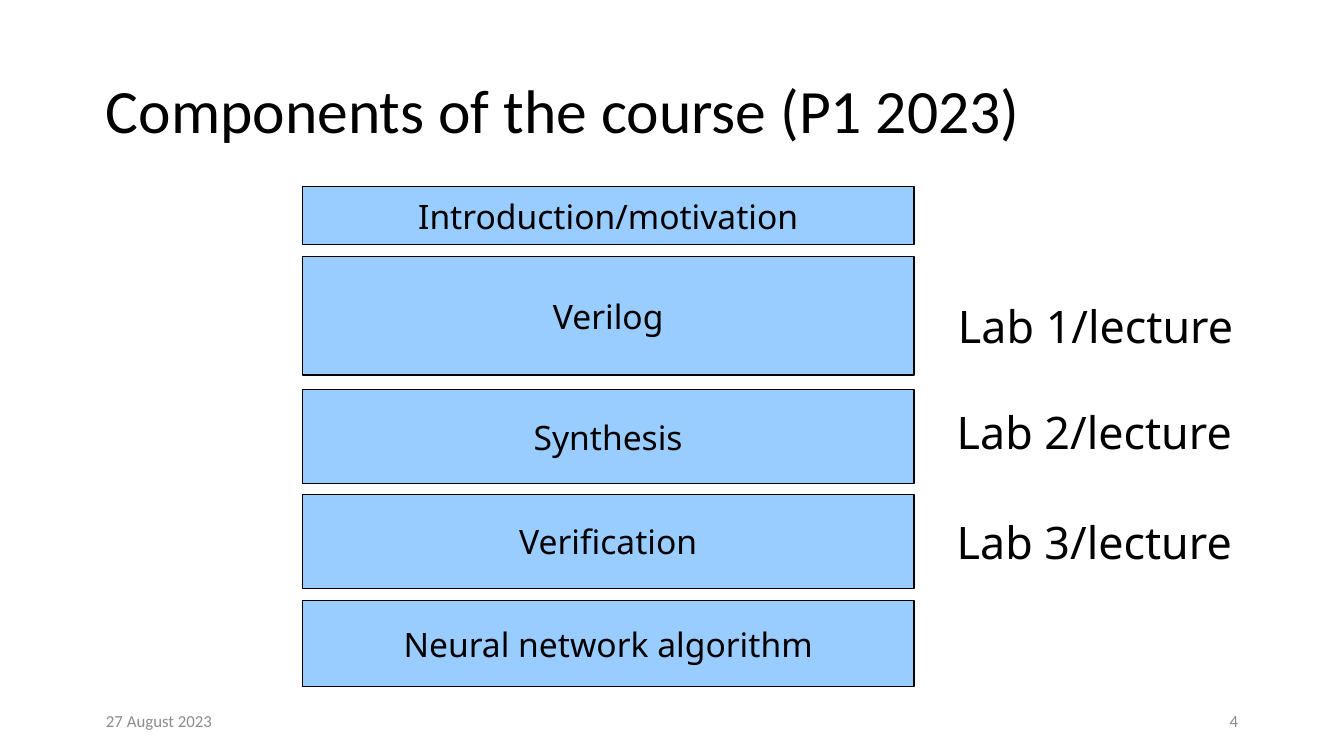
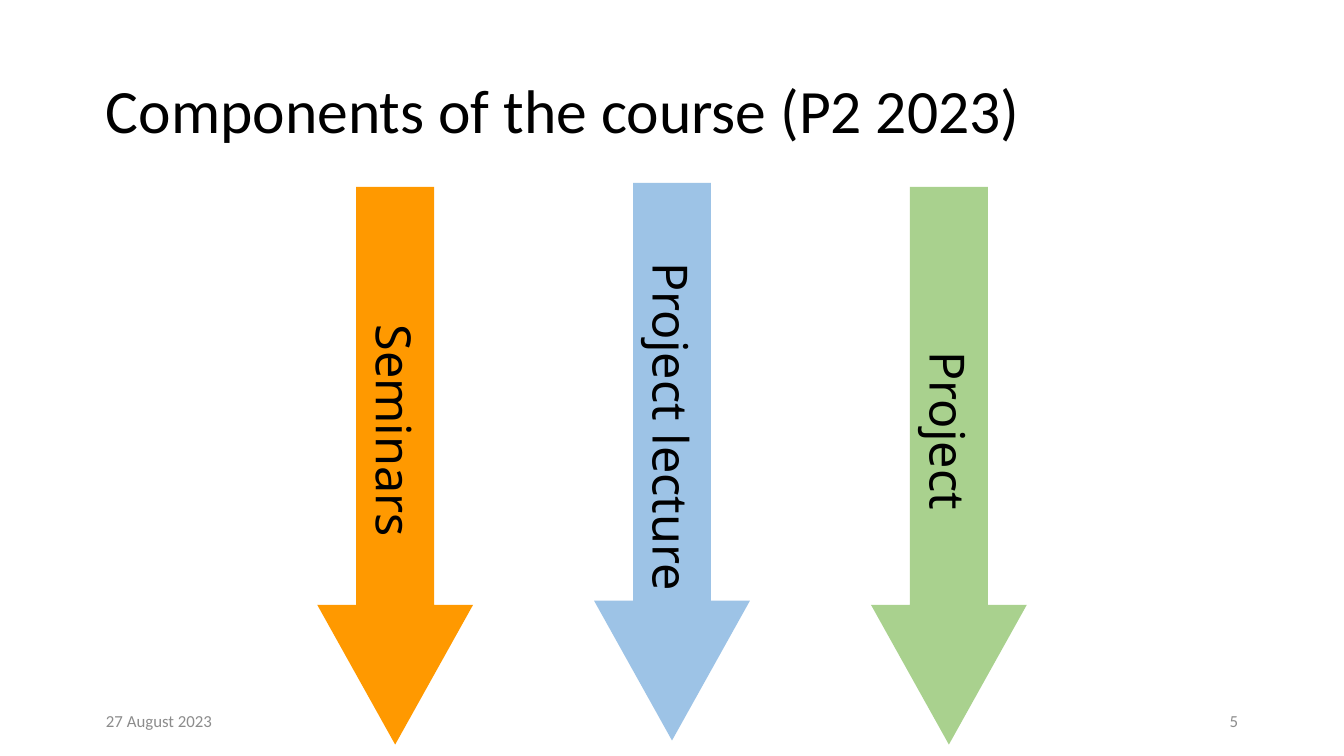
from dataclasses import dataclass
from typing import Any

import pptx
import pptx.dml.color
import pptx.enum.shapes
import pptx.enum.text
import pptx.util

Inches = pptx.util.Inches
Align = pptx.enum.text.PP_ALIGN
Anchor = pptx.enum.text.MSO_ANCHOR
Preset = pptx.enum.shapes.MSO_SHAPE


@dataclass(frozen=True)
class Theme:
    heading_font: str = "Calibri"
    body_font: str = "Noto Sans"
    ink: str = "000000"
    muted: str = "8C8C8C"
    paper: str = "FFFFFF"
    bar: str = "99CCFF"
    orange: str = "FF9900"
    blue: str = "9DC3E6"
    green: str = "A9D18E"
    title_size: float = 33
    bar_size: float = 18
    lab_size: float = 24
    arrow_size: float = 26
    footer_size: float = 9


@dataclass(frozen=True)
class Style:
    font: str
    size: float
    color: str
    align: Any = Align.LEFT
    anchor: Any = Anchor.MIDDLE
    wrap: bool = True
    line_spacing: float = 1.0


@dataclass(frozen=True)
class Bar:
    text: str
    top: float
    height: float


@dataclass(frozen=True)
class Lab:
    text: str
    left: float
    top: float


@dataclass(frozen=True)
class Arrow:
    text: str
    color: str
    top: float


THEME = Theme()
TITLE = Style(THEME.heading_font, THEME.title_size, THEME.ink, line_spacing=0.9)
DATE = Style(THEME.heading_font, THEME.footer_size, THEME.muted)
NUMBER = Style(THEME.heading_font, THEME.footer_size, THEME.muted, align=Align.RIGHT)
LAB = Style(THEME.body_font, THEME.lab_size, THEME.ink, anchor=Anchor.TOP)
BAR = Style(THEME.body_font, THEME.bar_size, THEME.ink, align=Align.CENTER, wrap=False)
ARROW = Style(THEME.body_font, THEME.arrow_size, THEME.ink, align=Align.CENTER, wrap=False)

PAGE_WIDTH = 10
PAGE_HEIGHT = PAGE_WIDTH * 9 / 16
MARGIN = 0.69
FOOTER_TOP, FOOTER_WIDTH, FOOTER_HEIGHT = 5.21, 2.25, 0.3
BAR_LEFT, BAR_WIDTH = 2.25, 4.55
LAB_WIDTH, LAB_HEIGHT = 2.5, 0.5
ARROW_LENGTH, ARROW_BREADTH, ARROW_HEAD = 4.15, 1.16, 1.04
FIRST_ARROW_CENTER, ARROW_PITCH = 2.94, 2.06

BARS = [
    Bar("Introduction/motivation", 1.39, 0.43),
    Bar("Verilog", 1.91, 0.88),
    Bar("Synthesis", 2.9, 0.7),
    Bar("Verification", 3.68, 0.7),
    Bar("Neural network algorithm", 4.47, 0.64),
]
LABS = [
    Lab("Lab 1/lecture", 7.03, 2.17),
    Lab("Lab 2/lecture", 7.02, 2.96),
    Lab("Lab 3/lecture", 7.02, 3.78),
]
ARROWS = [
    Arrow("Seminars", THEME.orange, 1.39),
    Arrow("Project lecture", THEME.blue, 1.36),
    Arrow("Project", THEME.green, 1.39),
]


def rgb(color: str) -> pptx.dml.color.RGBColor:
    return pptx.dml.color.RGBColor.from_string(color)


def write(box: Any, text: str, style: Style) -> None:
    frame = box.text_frame
    frame.word_wrap = style.wrap
    frame.vertical_anchor = style.anchor
    frame.margin_left = frame.margin_right = Inches(0.1)
    frame.margin_top = frame.margin_bottom = Inches(0.05)
    para = frame.paragraphs[0]
    para.alignment = style.align
    para.line_spacing = style.line_spacing
    span = para.add_run()
    span.text = text
    span.font.name = style.font
    span.font.size = pptx.util.Pt(style.size)
    span.font.color.rgb = rgb(style.color)


def add_text(page: Any, left: float, top: float, width: float, height: float,
             text: str, style: Style) -> None:
    box = page.shapes.add_textbox(Inches(left), Inches(top), Inches(width), Inches(height))
    write(box, text, style)


def add_filled(page: Any, preset: Any, left: float, top: float, width: float,
               height: float, color: str) -> Any:
    box = page.shapes.add_shape(preset, Inches(left), Inches(top), Inches(width), Inches(height))
    box.shadow.inherit = False
    box.fill.solid()
    box.fill.fore_color.rgb = rgb(color)
    box.line.fill.background()
    return box


def add_page(deck: Any, title: str, number: int) -> Any:
    page = deck.slides.add_slide(deck.slide_layouts[6])
    page.background.fill.solid()
    page.background.fill.fore_color.rgb = rgb(THEME.paper)
    add_text(page, MARGIN, 0.3, PAGE_WIDTH - 2 * MARGIN, 1.09, title, TITLE)
    add_text(page, MARGIN, FOOTER_TOP, FOOTER_WIDTH, FOOTER_HEIGHT, "27 August 2023", DATE)
    add_text(page, PAGE_WIDTH - MARGIN - FOOTER_WIDTH, FOOTER_TOP, FOOTER_WIDTH, FOOTER_HEIGHT,
             str(number), NUMBER)
    return page


def add_bar(page: Any, bar: Bar) -> None:
    box = add_filled(page, Preset.RECTANGLE, BAR_LEFT, bar.top, BAR_WIDTH, bar.height, THEME.bar)
    box.line.color.rgb = rgb(THEME.ink)
    box.line.width = pptx.util.Pt(0)
    write(box, bar.text, BAR)


def add_arrow(page: Any, arrow: Arrow, center: float) -> None:
    left = center - ARROW_LENGTH / 2
    top = arrow.top + (ARROW_LENGTH - ARROW_BREADTH) / 2
    box = add_filled(page, Preset.RIGHT_ARROW, left, top, ARROW_LENGTH, ARROW_BREADTH, arrow.color)
    box.adjustments[0] = 0.5
    box.adjustments[1] = ARROW_HEAD / ARROW_BREADTH
    box.rotation = 90
    write(box, arrow.text, ARROW)


def main() -> None:
    deck = pptx.Presentation()
    deck.slide_width = Inches(PAGE_WIDTH)
    deck.slide_height = Inches(PAGE_HEIGHT)

    first_period = add_page(deck, "Components of the course (P1 2023)", 4)
    for bar in BARS:
        add_bar(first_period, bar)
    for lab in LABS:
        add_text(first_period, lab.left, lab.top, LAB_WIDTH, LAB_HEIGHT, lab.text, LAB)

    second_period = add_page(deck, "Components of the course (P2 2023)", 5)
    for index, arrow in enumerate(ARROWS):
        add_arrow(second_period, arrow, FIRST_ARROW_CENTER + index * ARROW_PITCH)

    deck.save("out.pptx")


if __name__ == "__main__":
    main()
